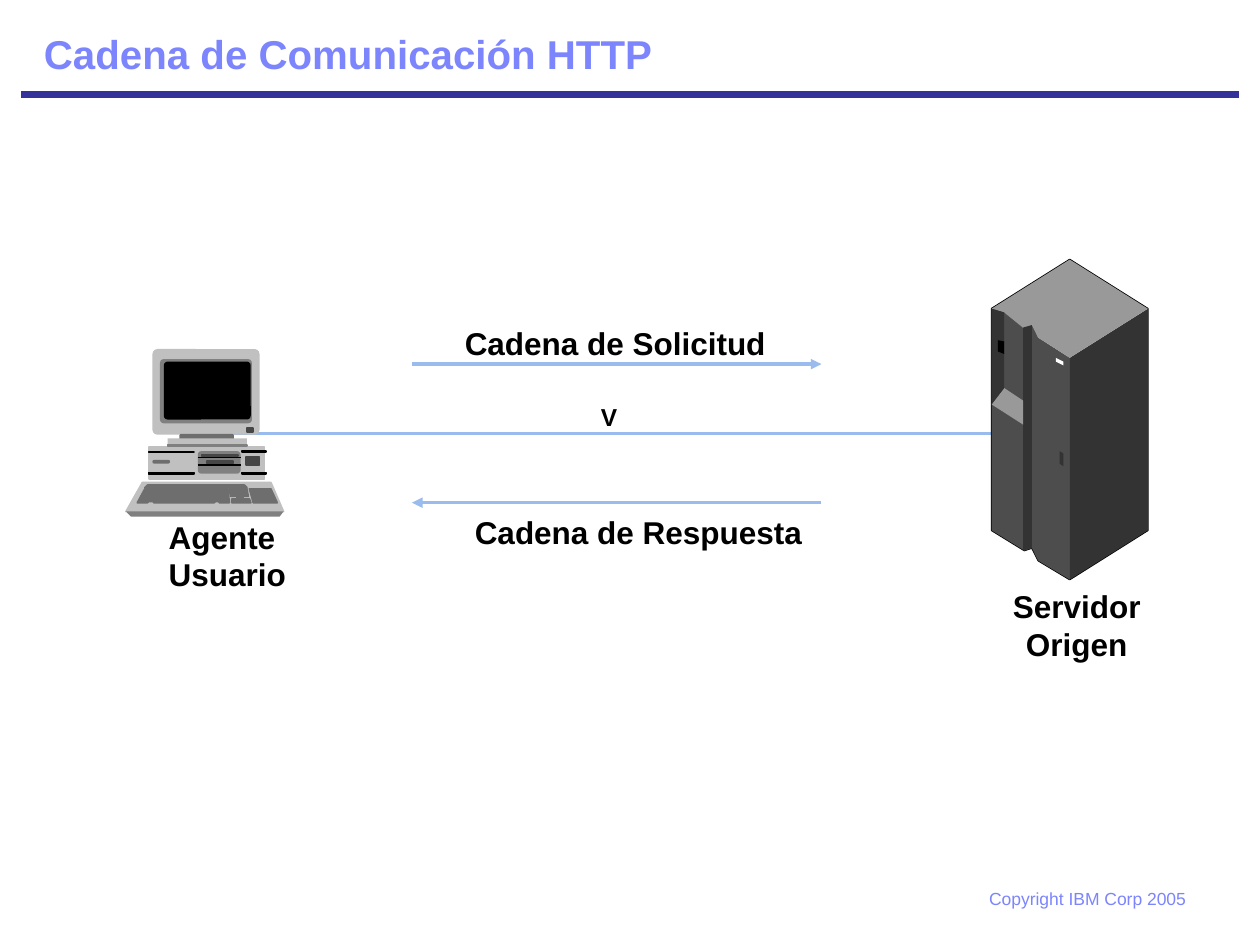
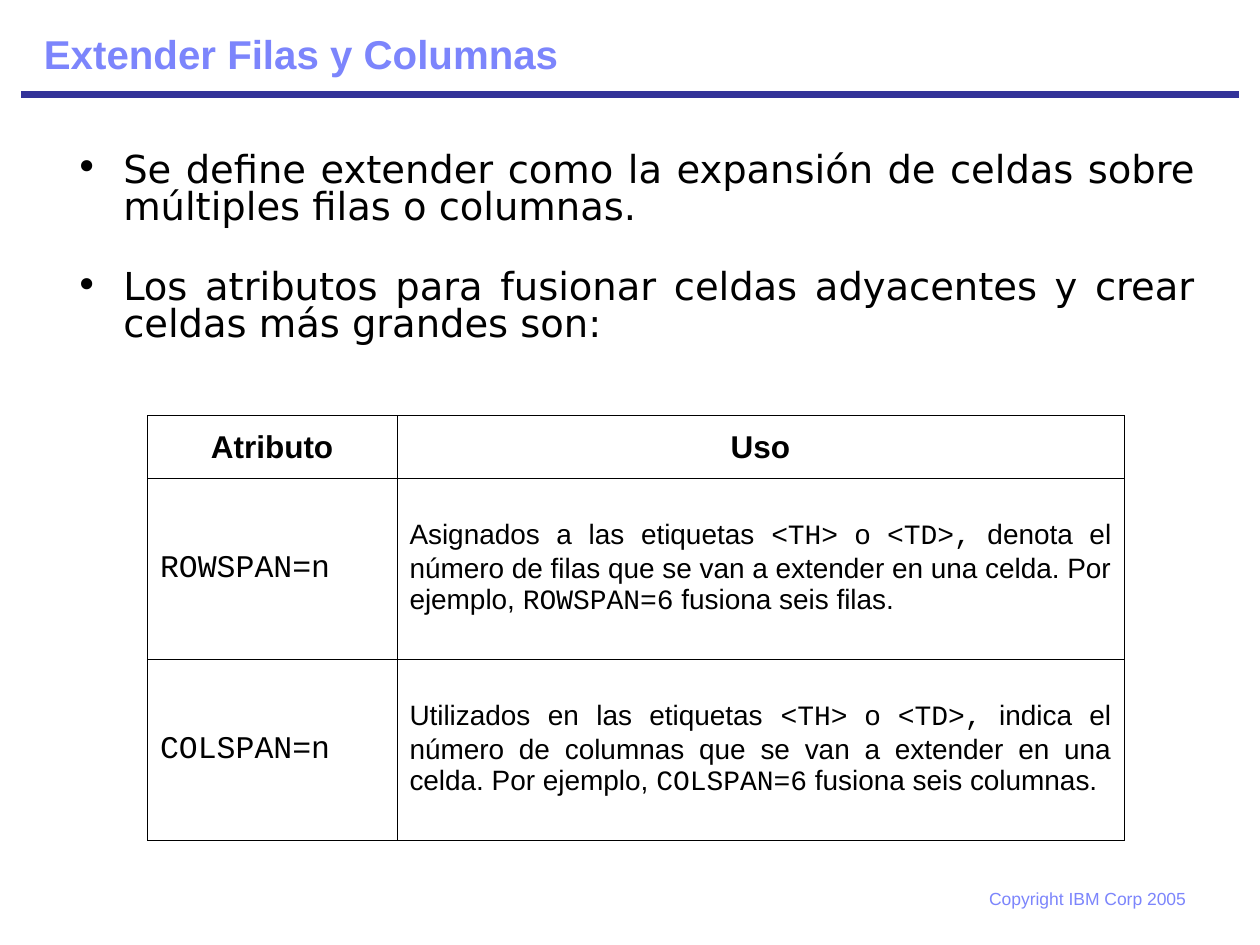
"""Build two slides: an HTTP communication diagram and a table of cell-spanning attributes."""
from dataclasses import dataclass
from typing import Optional

from lxml.etree import SubElement
from pptx import Presentation
from pptx.dml.color import RGBColor
from pptx.enum.shapes import MSO_CONNECTOR, MSO_SHAPE
from pptx.enum.text import MSO_ANCHOR, PP_ALIGN
from pptx.oxml.ns import qn
from pptx.util import Inches, Pt

COLORS = {
    "title": "7C85FC", "rule": "333399", "arrow": "99BBEE", "black": "000000", "white": "FFFFFF",
    "side": "333333", "front": "4D4D4D", "top": "999999", "case": "C0C0C0", "shade": "808080",
    "key": "6E6E6E", "drive": "464646",
}
SANS, MONO, BODY = "Arial", "Courier New", "DejaVu Sans"


@dataclass
class Block:
    """Rectangle, rounded when it has a radius."""
    left: float
    top: float
    width: float
    height: float
    color: str
    edge: float = 0
    radius: float = 0


@dataclass
class Outline:
    """Closed polygon with an optional fill and edge."""
    points: list[tuple[float, float]]
    fill: Optional[str]
    edge: float = 0
    edge_color: Optional[str] = None


@dataclass
class Line:
    """Straight horizontal line, with an arrowhead at its end if wanted."""
    start: float
    end: float
    y: float
    color: str = "arrow"
    width: float = 2
    arrow: bool = False


@dataclass
class Label:
    """Bold caption of the diagram."""
    lines: list[str]
    left: float
    top: float
    width: float
    height: float
    size: float = 18
    align: PP_ALIGN = PP_ALIGN.LEFT


SERVER = [
    Outline([(8.49, 2.06), (9.11, 2.45), (9.11, 4.21), (8.49, 4.6), (8.24, 4.45), (8.19, 4.35),
             (8.13, 4.37), (7.87, 4.21), (7.87, 2.45)], None, 0.88, "black"),
    Outline([(8.49, 2.84), (8.24, 2.68), (8.19, 2.57), (8.13, 2.61), (7.99, 2.46), (7.87, 2.45),
             (7.87, 4.21), (8.13, 4.37), (8.19, 4.35), (8.24, 4.45), (8.49, 4.6)], "front"),
    Outline([(9.11, 2.45), (8.49, 2.84), (8.49, 4.6), (9.11, 4.21)], "side"),
    Outline([(8.44, 3.6), (8.41, 3.58), (8.41, 3.68), (8.44, 3.7)], "side"),
    Outline([(8.44, 2.87), (8.38, 2.84), (8.38, 2.87), (8.44, 2.9)], "white"),
    Outline([(8.24, 2.68), (8.49, 2.84), (9.11, 2.45), (8.49, 2.06), (7.87, 2.45), (7.97, 2.48),
             (8.13, 2.61), (8.19, 2.58)], "top"),
    Outline([(8.19, 2.58), (8.12, 2.6), (8.12, 4.37), (8.19, 4.35)], "side"),
    Outline([(8.12, 3.37), (8.12, 3.18), (7.97, 3.08), (7.87, 3.21)], "top"),
    Outline([(7.87, 2.45), (7.87, 3.21), (7.97, 3.08), (7.97, 2.48)], "side"),
    Outline([(7.97, 2.81), (7.97, 2.71), (7.92, 2.7), (7.92, 2.79)], "black"),
]
COMPUTER = [
    Block(1.18, 3.55, 0.92, 0.25, "case", 1),
    Block(1.21, 3.65, 0.14, 0.03, "key", radius=0.015),
    Block(1.57, 3.58, 0.34, 0.18, "shade", radius=0.03),
    Block(1.21, 2.77, 0.85, 0.68, "case", radius=0.04),
    Block(1.27, 2.85, 0.73, 0.51, "shade", radius=0.03),
    Block(1.3, 2.87, 0.69, 0.46, "black", radius=0.03),
    Block(1.18, 3.59, 0.36, 0, "black", 1),
    Block(1.18, 3.75, 0.36, 0.01, "black", 1),
    Block(1.92, 3.58, 0.19, 0.01, "black", 1),
    Block(1.92, 3.75, 0.19, 0.01, "black", 1),
    Block(1.6, 3.61, 0.29, 0.01, "drive", 1),
    Block(1.64, 3.66, 0.21, 0.02, "drive", 1),
    Line(1.57, 1.91, 3.63, "black", 1),
    Line(1.57, 1.91, 3.69, "black", 1),
    Block(1.95, 3.63, 0.11, 0.06, "drive", 1),
    Outline([(1.13, 3.83), (2.15, 3.83), (2.25, 4.06), (1, 4.06)], "case", 1),
    Outline([(1, 4.06), (2.25, 4.06), (2.22, 4.1), (1.04, 4.1)], "shade"),
    Outline([(1.15, 3.87), (1.96, 3.87), (1.94, 3.85), (1.17, 3.85)], "key", 1),
    Outline([(1.81, 3.88), (1.82, 3.99), (1.74, 3.99), (1.74, 3.98), (1.71, 3.98), (1.7, 3.99),
             (1.22, 3.99), (1.22, 3.98), (1.18, 3.98), (1.17, 3.99), (1.09, 3.99), (1.15, 3.88)],
            "key", 1),
    Outline([(1.82, 3.88), (1.83, 3.94), (1.97, 3.94), (1.96, 3.88)], "key", 1),
    Outline([(1.88, 3.96), (1.84, 3.96), (1.84, 3.99), (1.99, 3.99), (1.98, 3.96), (1.93, 3.96),
             (1.93, 3.95), (1.88, 3.94)], "key", 1),
    Outline([(2.01, 3.99), (2.2, 3.99), (2.15, 3.88), (1.98, 3.88)], "key", 1),
    Block(1.43, 3.45, 0.42, 0.06, "key", 1, 0.01),
    Block(1.96, 3.4, 0.05, 0.03, "drive", 1),
    Block(1.33, 3.48, 0.63, 0.05, "case"),
    Block(1.33, 3.53, 0.63, 0.01, "shade", 1),
]
FLOWS = [Line(3.27, 6.52, 2.89, arrow=True), Line(6.52, 3.27, 3.99, arrow=True),
         Line(1.85, 8.35, 3.44)]
LABELS = [
    Label(["Servidor", "Origen"], 7.89, 4.61, 1.31, 0.7, align=PP_ALIGN.CENTER),
    Label(["Agente", "Usuario"], 1.24, 4.06, 1.13, 0.7),
    Label(["Cadena de Solicitud"], 3.59, 2.52, 2.59, 0.4),
    Label(["Cadena de Respuesta"], 3.67, 4.02, 2.8, 0.4),
    Label(["V"], 4.67, 3.14, 0.33, 0.34, 14),
]
BULLETS = [
    "Se define extender como la expansión de celdas sobre múltiples filas o columnas.",
    "Los atributos para fusionar celdas adyacentes y crear celdas más grandes son:",
]
ATTRIBUTES = [
    ("Atributo", "Uso"),
    ("`ROWSPAN=n`", "Asignados a las etiquetas `<TH>` o `<TD>,` denota el número de filas que se "
     "van a extender en una celda. Por ejemplo, `ROWSPAN=6` fusiona seis filas."),
    ("`COLSPAN=n`", "Utilizados en las etiquetas `<TH>` o `<TD>,` indica el número de columnas que "
     "se van a extender en una celda. Por ejemplo, `COLSPAN=6` fusiona seis columnas."),
]


def rgb(name: str) -> RGBColor:
    """Look up a named colour."""
    return RGBColor.from_string(COLORS[name])


def write(frame, lines: list[str], *, size: float, font: str = SANS, color: str = "black",
          bold: bool = False, align: PP_ALIGN = PP_ALIGN.LEFT, bullet: bool = False,
          spacing: Optional[float] = None, gap: float = 0) -> None:
    """Write paragraphs; text between backquotes is set as code."""
    for index, line in enumerate(lines):
        paragraph = frame.add_paragraph() if index else frame.paragraphs[0]
        paragraph.alignment = align
        if spacing:
            paragraph.line_spacing = spacing
        if index and gap:
            paragraph.space_before = Pt(gap)
        if bullet:
            properties = paragraph._p.get_or_add_pPr()
            properties.set("marL", str(Inches(0.38)))
            properties.set("indent", str(-Inches(0.38)))
            SubElement(properties, qn("a:buFont")).set("typeface", font)
            SubElement(properties, qn("a:buChar")).set("char", "•")
        for position, piece in enumerate(line.split("`")):
            if piece:
                run = paragraph.add_run()
                run.text = piece
                run.font.name = MONO if position % 2 else font
                run.font.size = Pt(size)
                run.font.bold = bold
                run.font.color.rgb = rgb(color)


def add_text(slide, lines: list[str], left: float, top: float, width: float, height: float, *,
             wrap: bool = False, anchor: MSO_ANCHOR = MSO_ANCHOR.TOP, **text_format) -> None:
    """Add a text box."""
    box = slide.shapes.add_textbox(Inches(left), Inches(top), Inches(width), Inches(height))
    box.text_frame.word_wrap = wrap
    box.text_frame.vertical_anchor = anchor
    write(box.text_frame, lines, **text_format)


def paint(shape, fill: Optional[str], edge: float, edge_color: Optional[str]) -> None:
    """Set fill and edge of a shape and remove its shadow."""
    shape.shadow.inherit = False
    if fill:
        shape.fill.solid()
        shape.fill.fore_color.rgb = rgb(fill)
    else:
        shape.fill.background()
    if edge:
        shape.line.color.rgb = rgb(edge_color)
        shape.line.width = Pt(edge)
    else:
        shape.line.fill.background()


def add_block(slide, block: Block) -> None:
    """Draw a plain or rounded rectangle."""
    kind = MSO_SHAPE.ROUNDED_RECTANGLE if block.radius else MSO_SHAPE.RECTANGLE
    shape = slide.shapes.add_shape(kind, Inches(block.left), Inches(block.top),
                                   Inches(block.width), Inches(block.height))
    if block.radius:
        shape.adjustments[0] = block.radius / min(block.width, block.height)
    paint(shape, block.color, block.edge, block.color)


def add_outline(slide, outline: Outline) -> None:
    """Draw a closed polygon."""
    first, *others = [(Inches(x), Inches(y)) for x, y in outline.points]
    builder = slide.shapes.build_freeform(*first)
    builder.add_line_segments(others, close=True)
    paint(builder.convert_to_shape(), outline.fill, outline.edge,
          outline.edge_color or outline.fill)


def add_line(slide, line: Line) -> None:
    """Draw a horizontal connector."""
    connector = slide.shapes.add_connector(MSO_CONNECTOR.STRAIGHT, Inches(line.start),
                                           Inches(line.y), Inches(line.end), Inches(line.y))
    connector.line.color.rgb = rgb(line.color)
    connector.line.width = Pt(line.width)
    properties = connector.element.find(qn("p:spPr"))
    if line.arrow:
        SubElement(properties.find(qn("a:ln")), qn("a:tailEnd")).set("type", "triangle")
    SubElement(properties, qn("a:effectLst"))


DRAWERS = {Block: add_block, Outline: add_outline, Line: add_line}


def draw(slide, parts: list) -> None:
    """Draw parts from back to front."""
    for part in parts:
        DRAWERS[type(part)](slide, part)


def add_base_slide(presentation, title: str):
    """Add a slide with the shared rule, copyright line and title."""
    slide = presentation.slides.add_slide(presentation.slide_layouts[6])
    add_line(slide, Line(0.17, 9.83, 0.75, "rule", 4.5))
    add_text(slide, ["Copyright IBM Corp 2005"], 7.75, 7, 1.76, 0.27, size=10, color="title",
             align=PP_ALIGN.RIGHT)
    add_text(slide, [title], 0.25, 0.17, 6.92, 0.5, wrap=True, anchor=MSO_ANCHOR.MIDDLE,
             size=23, color="title", bold=True)
    return slide


def style_cell(cell) -> None:
    """Give a cell thin black borders, a white fill and middle anchoring."""
    properties = cell._tc.get_or_add_tcPr()
    for side in "LRTB":
        border = SubElement(properties, qn(f"a:ln{side}"), w=str(Pt(0.45)))
        fill = SubElement(border, qn("a:solidFill"))
        SubElement(fill, qn("a:srgbClr")).set("val", COLORS["black"])
    cell.fill.solid()
    cell.fill.fore_color.rgb = rgb("white")
    cell.vertical_anchor = MSO_ANCHOR.MIDDLE


def add_attribute_table(slide) -> None:
    """Add the table of spanning attributes."""
    table = slide.shapes.add_table(3, 2, Inches(1.17), Inches(3.3), Inches(7.75),
                                   Inches(3.37)).table
    for column, width in zip(table.columns, (1.98, 5.77)):
        column.width = Inches(width)
    for row, height in zip(table.rows, (0.5, 1.43, 1.44)):
        row.height = Inches(height)
    for row_index, texts in enumerate(ATTRIBUTES):
        for column_index, text in enumerate(texts):
            cell = table.cell(row_index, column_index)
            style_cell(cell)
            header = row_index == 0
            usage = column_index == 1 and not header
            align = PP_ALIGN.JUSTIFY if usage else PP_ALIGN.CENTER if header else PP_ALIGN.LEFT
            write(cell.text_frame, [text], size=16 if usage else 18, bold=header, align=align)


def main() -> None:
    """Build and save the presentation."""
    presentation = Presentation()
    presentation.slide_width, presentation.slide_height = Inches(10), Inches(7.5)

    slide = add_base_slide(presentation, "Cadena de Comunicación HTTP")
    draw(slide, FLOWS + SERVER + COMPUTER)
    for label in LABELS:
        add_text(slide, label.lines, label.left, label.top, label.width, label.height,
                 size=label.size, bold=True, align=label.align)

    slide = add_base_slide(presentation, "Extender Filas y Columnas")
    add_text(slide, BULLETS, 0.5, 1.17, 9.08, 1.75, wrap=True, size=22, font=BODY,
             align=PP_ALIGN.JUSTIFY, bullet=True, spacing=0.8, gap=24.8)
    add_attribute_table(slide)

    presentation.save("out.pptx")


if __name__ == "__main__":
    main()
